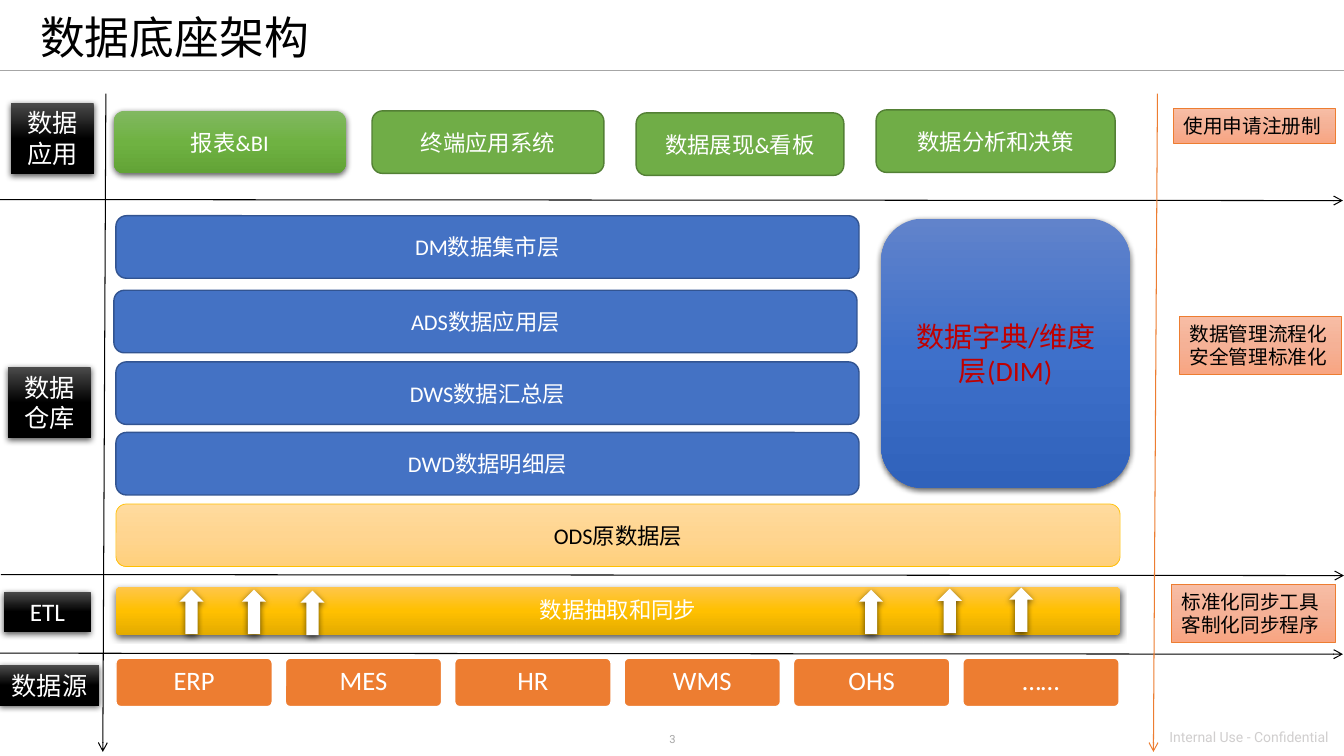
from copy import deepcopy
from dataclasses import dataclass
from typing import Optional

from lxml import etree
from pptx import Presentation
from pptx.dml.color import RGBColor
from pptx.enum import shapes, text
from pptx.oxml.ns import qn
from pptx.util import Inches, Pt

COLORS = {
    "black": "000000", "white": "FFFFFF", "red": "C00000",
    "gray": "A6A6A6", "light_gray": "D0CECE",
    "orange": "ED7D31", "gold": "FFC000",
    "blue": "4472C4", "dark_blue": "325491",
    "green": "70AD47", "dark_green": "538035",
    "gold_top": "FFC64B", "gold_end": "E3AB00",
    "cream_top": "FFDB9E", "cream": "FFD590", "cream_end": "FFD07C",
    "green_top": "81B861", "green_mid": "6FB242", "green_end": "62A336",
    "blue_top": "6183CB", "blue_mid": "3E70CA", "blue_end": "3062BB",
    "black_top": "4B4B4B",
    "peach_top": "F7BDA5", "peach": "F5B196", "peach_end": "F8A582",
}
SHAPE = shapes.MSO_SHAPE
LEFT, CENTER = text.PP_ALIGN.LEFT, text.PP_ALIGN.CENTER
TOP, MIDDLE = text.MSO_ANCHOR.TOP, text.MSO_ANCHOR.MIDDLE


@dataclass(frozen=True)
class Style:
    """One fill colour is solid; three make a vertical gradient."""
    fill: tuple[str, ...]
    line: Optional[str] = None
    line_width: float = 1
    shadow: bool = False
    shape: SHAPE = SHAPE.ROUNDED_RECTANGLE
    corner: Optional[float] = None
    size: float = 16
    color: str = "white"
    align: text.PP_ALIGN = CENTER
    anchor: text.MSO_ANCHOR = MIDDLE
    spacing: float = 1


@dataclass(frozen=True)
class Box:
    style: Style
    left: float
    top: float
    width: float
    height: float
    label: str = ""


@dataclass(frozen=True)
class Arrow:
    x1: float
    y1: float
    x2: float
    y2: float
    color: str = "black"


SYNC = Style(("gold_top", "gold", "gold_end"), shadow=True, corner=0.1, spacing=0.9)
SOURCE = Style(("orange",), "white", corner=0.1, size=19, spacing=0.9)
ODS = Style(("cream_top", "cream", "cream_end"), "gold", 0.5, color="black")
LAYER = Style(("blue",), "dark_blue")
APP = Style(("green",), "dark_green")
REPORT = Style(("green_top", "green_mid", "green_end"), shadow=True)
DIM = Style(("blue_top", "blue_mid", "blue_end"), shadow=True, size=20, color="red")
UP = Style(("white",), shadow=True, shape=SHAPE.UP_ARROW)
STAGE = Style(("black_top", "black", "black"), shadow=True, shape=SHAPE.RECTANGLE,
              size=18, anchor=TOP)
NOTE = Style(("peach_top", "peach", "peach_end"), "orange", 0.5, shape=SHAPE.RECTANGLE,
             size=14, color="black", align=LEFT, anchor=TOP)

SOURCES = ["ERP", "MES", "HR", "WMS", "OHS", "……"]
SOURCE_LEFT, SOURCE_PITCH = 1.15, 1.68
LAYERS = [(1.15, 2.14, "DM数据集市层"), (1.13, 2.88, "ADS数据应用层"),
          (1.15, 3.59, "DWS数据汇总层"), (1.15, 4.29, "DWD数据明细层")]
UP_ARROWS = [(1.78, 5.85), (2.4, 5.85), (2.98, 5.86),
             (8.52, 5.85), (9.3, 5.84), (10.01, 5.83)]

BOXES = [
    Box(SYNC, 1.15, 5.82, 9.96, 0.48, "数据抽取和同步"),
    *(Box(SOURCE, SOURCE_LEFT + i * SOURCE_PITCH, 6.53, 1.55, 0.48, name)
      for i, name in enumerate(SOURCES)),
    Box(ODS, 1.15, 5, 9.96, 0.62, "ODS原数据层"),
    *(Box(LAYER, x, y, 7.37, 0.62, name) for x, y, name in LAYERS),
    Box(REPORT, 1.13, 1.1, 2.3, 0.62, "报表&BI"),
    Box(APP, 3.69, 1.1, 2.3, 0.62, "终端应用系统"),
    Box(APP, 6.31, 1.12, 2.06, 0.62, "数据展现&看板"),
    Box(APP, 8.69, 1.09, 2.37, 0.62, "数据分析和决策"),
    Box(DIM, 8.74, 2.17, 2.47, 2.67, "数据字典/维度层(DIM)"),
    *(Box(UP, x, y, 0.24, 0.44) for x, y in UP_ARROWS),
]
DIVIDERS = [
    Arrow(0, 1.98, 13.32, 1.99),
    Arrow(0.01, 5.7, 13.33, 5.71),
    Arrow(0, 6.48, 13.32, 6.49),
    Arrow(1.05, 0.93, 1.02, 7.46),
    Arrow(11.48, 0.93, 11.44, 7.46, "orange"),
]
SIDE_LABELS = [
    Box(STAGE, 0.11, 1.02, 0.82, 0.71, "数据\n应用"),
    Box(STAGE, 0.08, 3.64, 0.82, 0.71, "数据仓库"),
    Box(STAGE, 0.04, 5.87, 0.86, 0.4, "ETL"),
    Box(STAGE, 0, 6.6, 0.98, 0.4, "数据源"),
    Box(NOTE, 11.64, 1.08, 1.6, 0.34, "使用申请注册制"),
    Box(NOTE, 11.7, 3.14, 1.6, 0.57, "数据管理流程化\n安全管理标准化"),
    Box(NOTE, 11.62, 5.8, 1.62, 0.57, "标准化同步工具\n客制化同步程序"),
]


def rgb(name: str) -> RGBColor:
    return RGBColor.from_string(COLORS[name])


def write(sp, content: str, *, size: float, color: str, font: str = "Calibri",
          align=LEFT, anchor=TOP, spacing: float = 1) -> None:
    tf = sp.text_frame
    tf.word_wrap = True
    tf.vertical_anchor = anchor
    for i, line in enumerate(content.split("\n")):
        p = tf.add_paragraph() if i else tf.paragraphs[0]
        p.alignment = align
        p.line_spacing = spacing
        r = p.add_run()
        r.text = line
        r.font.name = font
        r.font.size = Pt(size)
        r.font.color.rgb = rgb(color)


def add_text(s, left: float, top: float, width: float, height: float,
             content: str, **text_format) -> None:
    sp = s.shapes.add_textbox(Inches(left), Inches(top), Inches(width), Inches(height))
    write(sp, content, **text_format)


def set_fill(sp, names: tuple[str, ...]) -> None:
    if len(names) == 1:
        sp.fill.solid()
        sp.fill.fore_color.rgb = rgb(names[0])
        return
    sp.fill.gradient()
    sp.fill.gradient_angle = 270
    stops = sp._element.spPr.find(qn("a:gradFill")).find(qn("a:gsLst"))
    stops.insert(1, deepcopy(stops[0]))
    for stop, position, name in zip(sp.fill.gradient_stops, (0, 0.5, 1), names):
        stop.position = position
        stop.color.rgb = rgb(name)


def add_shadow(sp) -> None:
    effects = sp._element.spPr.find(qn("a:effectLst"))
    shadow = etree.SubElement(effects, qn("a:outerShdw"), blurRad=str(Pt(4.5)),
                              dist=str(Pt(1.5)), dir="5400000", algn="ctr",
                              rotWithShape="0")
    color = etree.SubElement(shadow, qn("a:srgbClr"), val=COLORS["black"])
    etree.SubElement(color, qn("a:alpha"), val="63000")


def add_box(s, box: Box) -> None:
    style = box.style
    sp = s.shapes.add_shape(style.shape, Inches(box.left), Inches(box.top),
                            Inches(box.width), Inches(box.height))
    if style.corner is not None:
        sp.adjustments[0] = style.corner
    set_fill(sp, style.fill)
    if style.line:
        sp.line.color.rgb = rgb(style.line)
        sp.line.width = Pt(style.line_width)
    else:
        sp.line.fill.background()
    sp.shadow.inherit = False
    if style.shadow:
        add_shadow(sp)
    if box.label:
        write(sp, box.label, size=style.size, color=style.color, align=style.align,
              anchor=style.anchor, spacing=style.spacing)


def add_line(s, arrow: Arrow, width: float = 0.75, head: bool = True) -> None:
    line = s.shapes.add_connector(shapes.MSO_CONNECTOR.STRAIGHT,
                                  Inches(arrow.x1), Inches(arrow.y1),
                                  Inches(arrow.x2), Inches(arrow.y2))
    line.line.color.rgb = rgb(arrow.color)
    line.line.width = Pt(width)
    spPr = line._element.spPr
    if head:
        etree.SubElement(spPr.find(qn("a:ln")), qn("a:tailEnd"), type="arrow")
    etree.SubElement(spPr, qn("a:effectLst"))


def main() -> None:
    prs = Presentation()
    prs.slide_width, prs.slide_height = Inches(13.33), Inches(7.5)
    s = prs.slides.add_slide(prs.slide_layouts[6])
    add_line(s, Arrow(0, 0.7, 13.33, 0.7, "gray"), width=1, head=False)
    add_text(s, 5.79, 7.22, 1.76, 0.24, "3", size=8, color="gray", font="Roboto",
             align=CENTER)
    add_text(s, 11.5, 7.18, 1.84, 0.27, "Internal Use - Confidential", size=10,
             color="light_gray", font="Roboto")
    add_text(s, 0.3, 0.06, 10.53, 0.68, "数据底座架构", size=32, color="black",
             font="Roboto", anchor=MIDDLE, spacing=0.9)
    for box in BOXES:
        add_box(s, box)
    for divider in DIVIDERS:
        add_line(s, divider)
    for label in SIDE_LABELS:
        add_box(s, label)
    prs.save("out.pptx")


if __name__ == "__main__":
    main()
